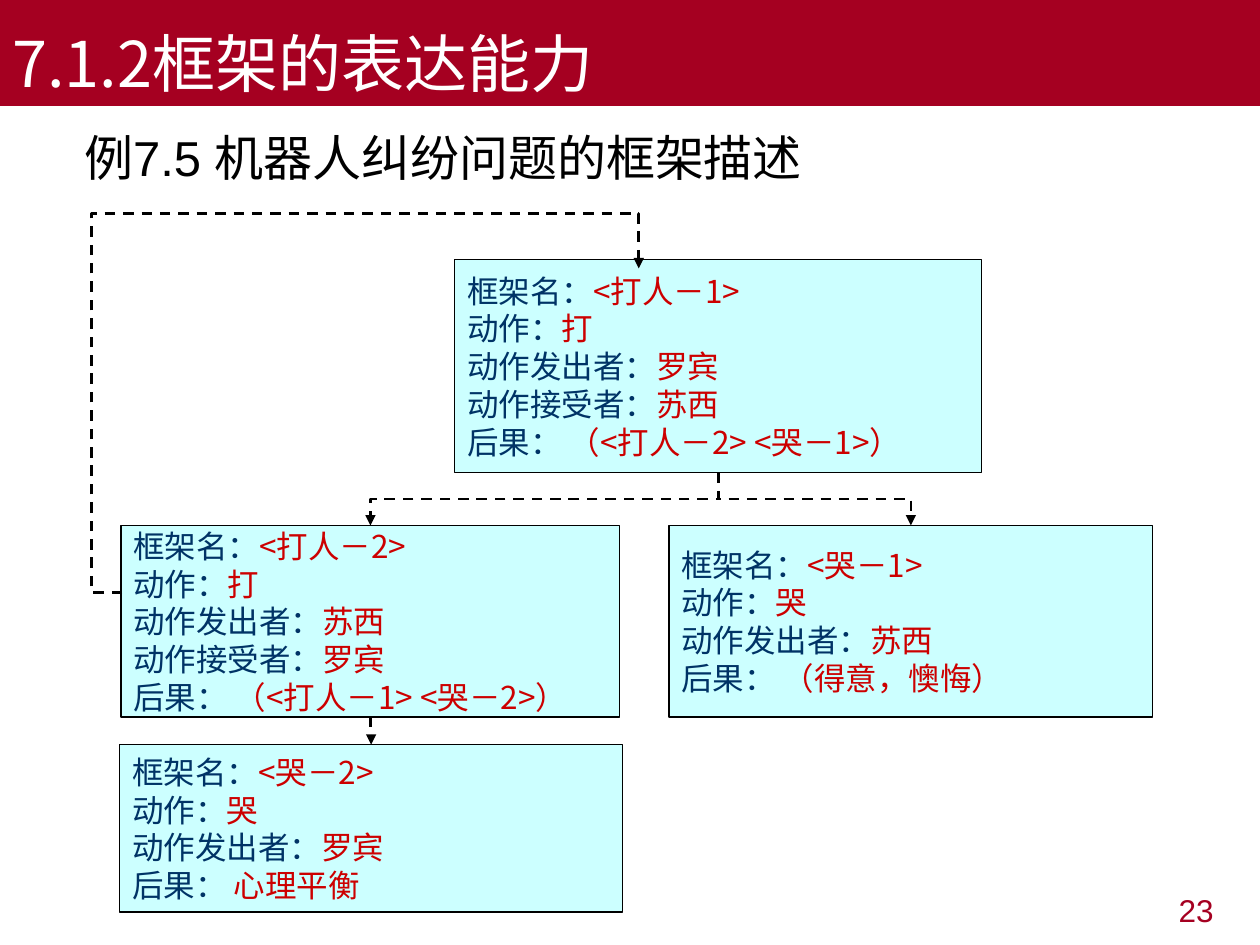
from lxml import etree
from pptx import Presentation
from pptx.dml.color import RGBColor
from pptx.enum import dml, shapes, text
from pptx.oxml import ns
from pptx.util import Inches, Pt

CRIMSON = RGBColor(0xA5, 0x00, 0x21)
CYAN = RGBColor(0xCC, 0xFF, 0xFF)
NAVY = RGBColor(0x00, 0x33, 0x66)
RED = RGBColor(0xCC, 0x00, 0x00)
BLACK = RGBColor(0, 0, 0)
WHITE = RGBColor(0xFF, 0xFF, 0xFF)

SANS = "Noto Sans CJK SC"
FRAME_FONT = "Noto Sans CJK JP"

# Position (left, top, width, height) and slots of each frame
FRAMES = [
    ((3.61, 2.06, 4.18, 1.69), [
        ("框架名：", "<打人－1>"), ("动作：", "打"), ("动作发出者：", "罗宾"),
        ("动作接受者：", "苏西"), ("后果： ", "（<打人－2> <哭－1>）")]),
    ((0.96, 4.17, 3.96, 1.52), [
        ("框架名：", "<打人－2>"), ("动作：", "打"), ("动作发出者：", "苏西"),
        ("动作接受者：", "罗宾"), ("后果： ", "（<打人－1> <哭－2>）")]),
    ((5.31, 4.17, 3.84, 1.52), [
        ("框架名：", "<哭－1>"), ("动作：", "哭"), ("动作发出者：", "苏西"),
        ("后果： ", "（得意，懊悔）")]),
    ((0.95, 5.91, 3.99, 1.33), [
        ("框架名：", "<哭－2>"), ("动作：", "哭"), ("动作发出者：", "罗宾"),
        ("后果： ", "心理平衡")]),
]


def add_run(paragraph, content, *, size, color, font, east_asian=None):
    run = paragraph.add_run()
    run.text = content
    run.font.size = Pt(size)
    run.font.color.rgb = color
    run.font.name = font
    properties = run.font._element
    etree.SubElement(properties, ns.qn("a:ea"), typeface=east_asian or font)


def add_text(slide, box, content, *, align=text.PP_ALIGN.LEFT, spacing=None, **run_format):
    frame = slide.shapes.add_textbox(*map(Inches, box)).text_frame
    frame.word_wrap = True
    paragraph = frame.paragraphs[0]
    paragraph.alignment = align
    paragraph.line_spacing = spacing
    add_run(paragraph, content, **run_format)


def add_rectangle(slide, box, fill, line=None):
    shape = slide.shapes.add_shape(shapes.MSO_SHAPE.RECTANGLE, *map(Inches, box))
    shape.shadow.inherit = False
    shape.fill.solid()
    shape.fill.fore_color.rgb = fill
    if line is None:
        shape.line.fill.background()
    else:
        shape.line.color.rgb = line
        shape.line.width = Pt(0.75)
    return shape


def add_title(slide, content):
    frame = add_rectangle(slide, (0, 0, 10, 0.84), CRIMSON).text_frame
    frame.vertical_anchor = text.MSO_ANCHOR.BOTTOM
    paragraph = frame.paragraphs[0]
    paragraph.alignment = text.PP_ALIGN.LEFT
    add_run(paragraph, content, size=36, color=WHITE, font=SANS)


def add_frame(slide, box, slots):
    frame = add_rectangle(slide, box, CYAN, BLACK).text_frame
    frame.word_wrap = False
    frame.vertical_anchor = text.MSO_ANCHOR.MIDDLE
    for index, (label, value) in enumerate(slots):
        paragraph = frame.add_paragraph() if index else frame.paragraphs[0]
        paragraph.alignment = text.PP_ALIGN.LEFT
        add_run(paragraph, label, size=18, color=NAVY, font=FRAME_FONT)
        add_run(paragraph, value, size=18, color=RED, font=FRAME_FONT)


def add_elbow(slide, box, rotation, flip, preset="bentConnector3", adjustments=(0.5,)):
    """Dashed elbow arrow whose box is given before rotation, in degrees."""
    left, top, width, height = box
    connector = slide.shapes.add_connector(
        shapes.MSO_CONNECTOR.ELBOW, Inches(left), Inches(top),
        Inches(left + width), Inches(top + height))
    connector.line.color.rgb = BLACK
    connector.line.width = Pt(1.5)
    connector.line.dash_style = dml.MSO_LINE.DASH
    properties = connector._element.spPr
    etree.SubElement(properties.find(ns.qn("a:ln")), ns.qn("a:tailEnd"), type="triangle")
    etree.SubElement(properties, ns.qn("a:effectLst"))
    transform = properties.find(ns.qn("a:xfrm"))
    transform.set("rot", str(rotation * 60000))
    transform.set("flipH", str(int(flip)))
    geometry = properties.find(ns.qn("a:prstGeom"))
    geometry.set("prst", preset)
    guides = geometry.find(ns.qn("a:avLst"))
    for number, value in enumerate(adjustments, 1):
        etree.SubElement(guides, ns.qn("a:gd"), name=f"adj{number}",
                         fmla=f"val {round(value * 100000)}")


def add_down_elbow(slide, start, end):
    """Elbow that leaves downwards, runs sideways and arrives downwards."""
    (x1, y1), (x2, y2) = start, end
    length, reach = y2 - y1, abs(x2 - x1)
    box = ((x1 + x2 - length) / 2, (y1 + y2 - reach) / 2, length, reach)
    to_right = x2 > x1
    add_elbow(slide, box, 270 if to_right else 90, to_right)


def bottom_middle(box):
    left, top, width, height = box
    return left + width / 2, top + height


def top_middle(box):
    left, top, width, _ = box
    return left + width / 2, top


def main():
    presentation = Presentation()
    presentation.slide_width, presentation.slide_height = Inches(10), Inches(7.5)
    slide = presentation.slides.add_slide(presentation.slide_layouts[6])

    add_text(slide, (7.4, 7.02, 2.33, 0.52), "23", align=text.PP_ALIGN.RIGHT,
             size=18, color=CRIMSON, font="Arial")
    add_text(slide, (0.57, 0.87, 8.5, 4.79), "例7.5 机器人纠纷问题的框架描述", spacing=1.2,
             size=28, color=BLACK, font="Arial", east_asian=SANS)

    for box, slots in FRAMES:
        add_frame(slide, box, slots)

    hit_1, hit_2, cry_1, cry_2 = [box for box, _ in FRAMES]
    for source, target in [(hit_1, cry_1), (hit_1, hit_2), (hit_2, cry_2)]:
        add_down_elbow(slide, bottom_middle(source), top_middle(target))
    add_elbow(slide, (0.97, 2.13, 4.1, 2.57), 180, True, "bentConnector4", (-0.06, 1.17))

    add_title(slide, "7.1.2框架的表达能力")
    presentation.save("out.pptx")


if __name__ == "__main__":
    main()
